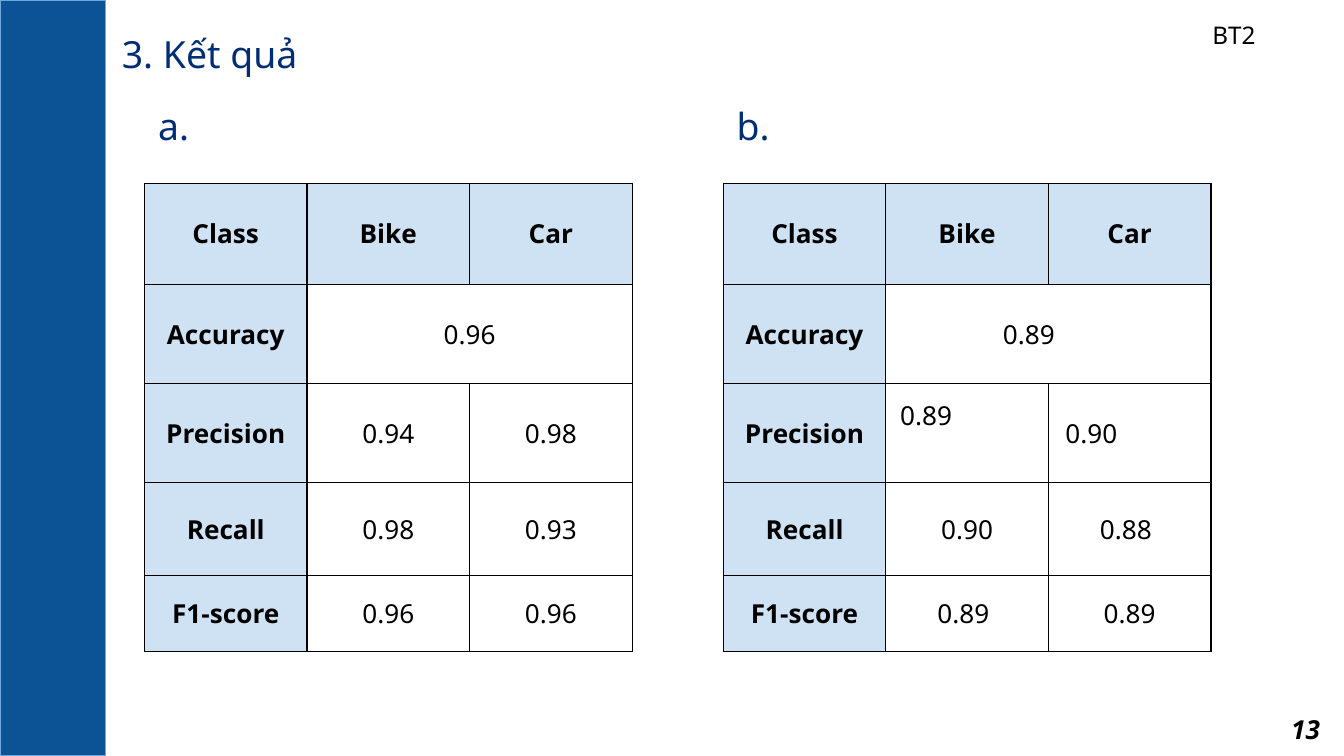
"""Build the results slide with two classification score tables."""
from lxml.etree import SubElement
from pptx import Presentation
from pptx.dml.color import RGBColor
from pptx.enum.shapes import MSO_SHAPE as Shape
from pptx.enum.text import MSO_ANCHOR as Anchor, PP_ALIGN as Align
from pptx.oxml import parse_xml
from pptx.oxml.ns import nsdecls, qn
from pptx.util import Pt

MARGIN = Pt(7.2)
NAVY = "002E75"
BLACK = "000000"


def color(value):
    return RGBColor.from_string(value)


def write(frame, text, size, ink, bold=False, italic=False, align=Align.LEFT, spacing=1.15):
    paragraph = frame.paragraphs[0]
    paragraph.text = text
    paragraph.alignment = align
    paragraph.line_spacing = spacing
    font = paragraph.font
    font.name, font.size, font.bold, font.italic = "Noto Sans", Pt(size), bold, italic
    font.color.rgb = color(ink)


presentation = Presentation()
presentation.slide_width, presentation.slide_height = Pt(720), Pt(405)
slide = presentation.slides.add_slide(presentation.slide_layouts[6])

sidebar = slide.shapes.add_shape(Shape.RECTANGLE, Pt(0), Pt(0), Pt(56.4), Pt(405))
sidebar.shadow.inherit = False
sidebar.fill.solid()
sidebar.fill.fore_color.rgb = color("0B5394")
sidebar.line.color.rgb = color("6FA8DC")
sidebar.line.width = Pt(0.75)

left_align = dict(size=20, ink=NAVY)
labels = [
    ("3. Kết quả", (58.2, 5.8, 280, 38.9), Anchor.TOP, left_align),
    ("a.", (77.6, 44.5, 87, 38.9), Anchor.TOP, left_align),
    ("b.", (387.5, 44.5, 87, 38.9), Anchor.TOP, left_align),
    ("BT2", (602, 0, 118, 35.4), Anchor.MIDDLE, dict(size=13, ink=BLACK, align=Align.CENTER)),
    ("13", (679, 373.5, 41, 31.5), Anchor.MIDDLE,
     dict(size=14, ink=BLACK, bold=True, italic=True, align=Align.CENTER)),
]
for text, box, anchor, style in labels:
    frame = slide.shapes.add_textbox(*map(Pt, box)).text_frame
    frame.word_wrap = True
    frame.vertical_anchor = anchor
    frame.margin_left = frame.margin_right = frame.margin_top = frame.margin_bottom = MARGIN
    write(frame, text, **style)

row_names = ["Class", "Accuracy", "Precision", "Recall", "F1-score"]
row_heights = [54.2, 53.2, 53.2, 49.8, 40.8]
column_width = 87.1
tables = [
    (77.4, [("Bike", "Car"), ("0.96", ""), ("0.94", "0.98"), ("0.98", "0.93"), ("0.96", "0.96")], {}),
    (387.5, [("Bike", "Car"), ("0.89", ""), ("0.89", "0.90"), ("0.90", "0.88"), ("0.89", "0.89")],
     {(1, 1): (21, 0), (2, 1): (44, 19), (2, 2): (41, 0), (3, 2): (4, 0), (4, 1): (4, 0)}),
]
for left, values, offsets in tables:
    graphic = slide.shapes.add_table(5, 3, Pt(left), Pt(98.1), Pt(3 * column_width), Pt(sum(row_heights)))
    table = graphic.table
    for column in table.columns:
        column.width = Pt(column_width)
    for row, height in zip(table.rows, row_heights):
        row.height = Pt(height)
    table.cell(1, 1).merge(table.cell(1, 2))
    for i, (name, scores) in enumerate(zip(row_names, values)):
        for j, text in enumerate((name, *scores)):
            cell = table.cell(i, j)
            heading = i == 0 or j == 0
            cell.vertical_anchor = Anchor.MIDDLE
            cell.margin_left = cell.margin_right = cell.margin_top = cell.margin_bottom = MARGIN
            if (i, j) in offsets:
                right, bottom = offsets[i, j]
                cell.margin_left, cell.margin_right = Pt(0), Pt(right)
                cell.margin_bottom = MARGIN + Pt(bottom)
            if heading:
                cell.fill.solid()
                cell.fill.fore_color.rgb = color("CFE2F3")
            else:
                cell.fill.background()
            if text:
                write(cell.text_frame, text, 14, BLACK, heading, align=Align.CENTER, spacing=1)
            properties = cell._tc.get_or_add_tcPr()
            for position, side in enumerate(("lnL", "lnR", "lnT", "lnB")):
                border = parse_xml(f'<a:{side} {nsdecls("a")} w="{Pt(0.75)}"/>')
                fill = SubElement(border, qn("a:solidFill"))
                SubElement(fill, qn("a:srgbClr"), val=BLACK)
                properties.insert(position, border)

presentation.save("out.pptx")
